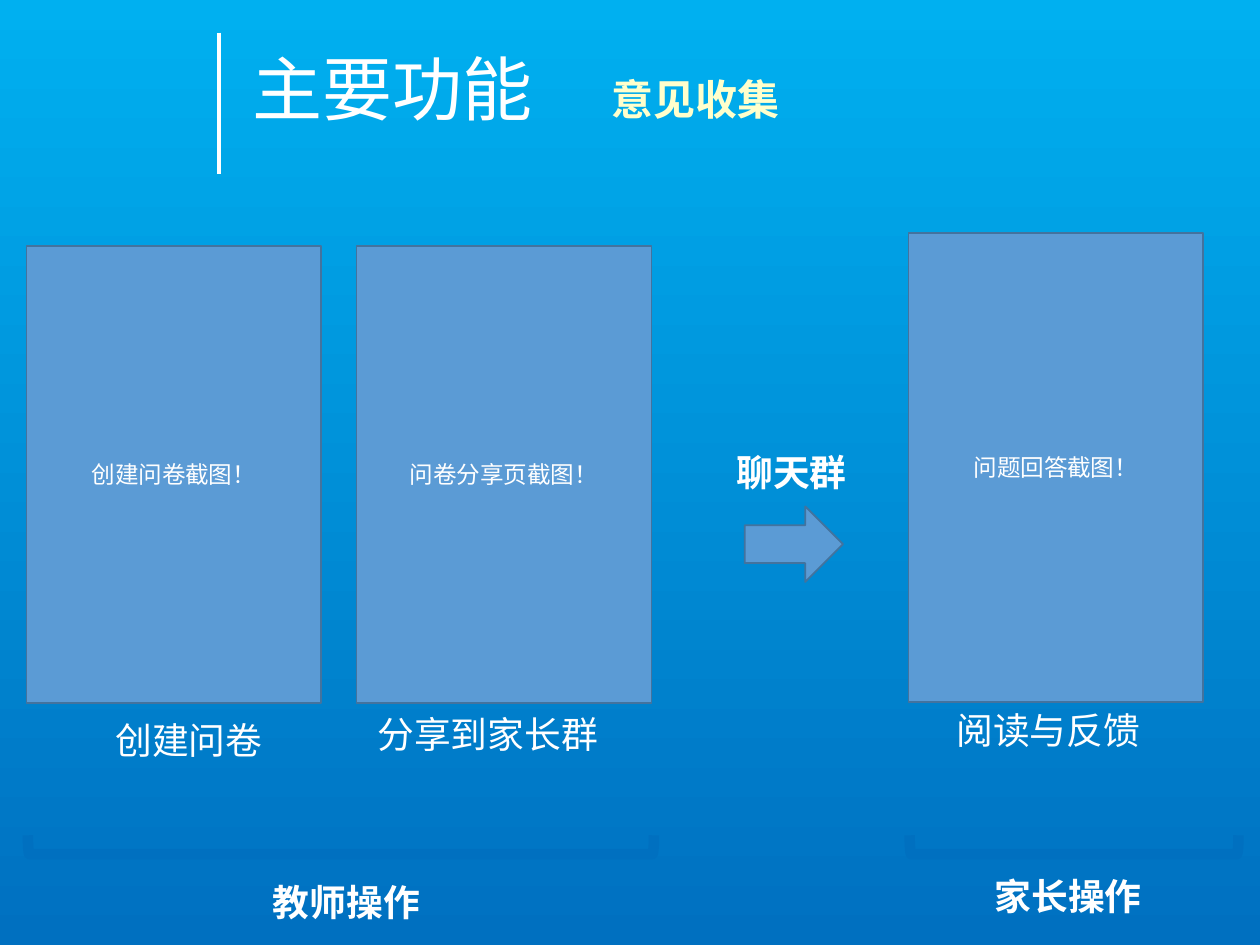
from dataclasses import dataclass

from lxml import etree
from pptx import Presentation
from pptx.dml.color import RGBColor
from pptx.enum.shapes import MSO_CONNECTOR, MSO_SHAPE
from pptx.enum.text import MSO_ANCHOR, PP_ALIGN
from pptx.oxml.ns import qn
from pptx.util import Pt

WHITE = RGBColor(0xFF, 0xFF, 0xFF)
CREAM = RGBColor(0xFF, 0xFF, 0xCC)
SKY = RGBColor(0x00, 0xB0, 0xF0)
DEEP_BLUE = RGBColor(0x00, 0x70, 0xC0)
PANEL_BLUE = RGBColor(0x5B, 0x9B, 0xD5)
PANEL_EDGE = RGBColor(0x43, 0x73, 0x9E)

FONT = "Calibri"
LEFT, CENTER = PP_ALIGN.LEFT, PP_ALIGN.CENTER
TOP, MIDDLE = MSO_ANCHOR.TOP, MSO_ANCHOR.MIDDLE
RECTANGLE = MSO_SHAPE.RECTANGLE
RIGHT_ARROW = MSO_SHAPE.RIGHT_ARROW
RIGHT_BRACKET = MSO_SHAPE.RIGHT_BRACKET
STRAIGHT = MSO_CONNECTOR.STRAIGHT


@dataclass(frozen=True)
class Box:
    """A frame in points."""
    left: float
    top: float
    width: float
    height: float

    def lengths(self):
        return Pt(self.left), Pt(self.top), Pt(self.width), Pt(self.height)


@dataclass(frozen=True)
class Label:
    text: str
    box: Box
    align: PP_ALIGN = LEFT
    bold: bool = False


@dataclass(frozen=True)
class Screen:
    text: str
    box: Box


SCREENS = [
    Screen("创建问卷截图！", Box(15.1, 140.4, 168.5, 261.4)),
    Screen("问卷分享页截图！", Box(203.8, 140.4, 168.5, 261.4)),
    Screen("问题回答截图！", Box(519.1, 133.2, 168.5, 267.8)),
]
LABELS = [
    Label("创建问卷", Box(20.9, 410.4, 174.2, 70.6), align=CENTER),
    Label("分享到家长群", Box(210.2, 406.8, 157, 70.6)),
    Label("阅读与反馈", Box(519.8, 404.6, 158.4, 61.9), align=CENTER),
    Label("教师操作", Box(150.5, 502.6, 157, 37.4), bold=True),
    Label("家长操作", Box(563, 499.7, 97.9, 40.3), bold=True),
    Label("聊天群", Box(415.4, 257, 74.9, 40.3), bold=True),
]
BRACKET_SPANS = [(15.9, 357.8), (519.8, 187.9)]
BRACKET_TOP, BRACKET_DEPTH = 477.3, 10.8


def add_run(paragraph, text: str, *, size: float, color=WHITE, bold=False) -> None:
    run = paragraph.add_run()
    run.text = text
    run.font.name = FONT
    run.font.size = Pt(size)
    run.font.bold = bold
    run.font.color.rgb = color


def write_text(shape, text: str, *, size: float, color=WHITE, bold=False, align=LEFT,
               anchor=TOP, line_spacing=0.9, space_before=0, side=5.4, edge=2.7):
    """Write one formatted paragraph in the shape and return it."""
    frame = shape.text_frame
    frame.word_wrap = True
    frame.vertical_anchor = anchor
    frame.margin_left = frame.margin_right = Pt(side)
    frame.margin_top = frame.margin_bottom = Pt(edge)
    paragraph = frame.paragraphs[0]
    paragraph.alignment = align
    paragraph.line_spacing = line_spacing
    paragraph.space_before = Pt(space_before)
    add_run(paragraph, text, size=size, color=color, bold=bold)
    return paragraph


def add_panel(slide, kind: MSO_SHAPE, box: Box):
    shape = slide.shapes.add_shape(kind, *box.lengths())
    shape.shadow.inherit = False
    shape.fill.solid()
    shape.fill.fore_color.rgb = PANEL_BLUE
    shape.line.color.rgb = PANEL_EDGE
    shape.line.width = Pt(1)
    return shape


def add_bracket(slide, left: float, width: float) -> None:
    """Draw a bracket that opens upwards, as a right bracket turned by 90 degrees."""
    box = Box(left + (width - BRACKET_DEPTH) / 2,
              BRACKET_TOP + (BRACKET_DEPTH - width) / 2, BRACKET_DEPTH, width)
    shape = slide.shapes.add_shape(RIGHT_BRACKET, *box.lengths())
    shape.rotation = 90
    shape.shadow.inherit = False
    shape.fill.background()
    shape.line.color.rgb = DEEP_BLUE
    shape.line.width = Pt(6)


def add_title(slide) -> None:
    rule = slide.shapes.add_connector(STRAIGHT, Pt(125.3), Pt(18.7), Pt(125.3), Pt(99.4))
    rule.line.color.rgb = WHITE
    rule.line.width = Pt(2.25)
    etree.SubElement(rule._element.spPr, qn("a:effectLst"))

    title = slide.shapes.add_textbox(*Box(137.5, 0.7, 532, 104.4).lengths())
    paragraph = write_text(title, "主要功能\t", size=40, anchor=MIDDLE, side=7.2, edge=3.6)
    tabs = etree.SubElement(paragraph._p.get_or_add_pPr(), qn("a:tabLst"))
    etree.SubElement(tabs, qn("a:tab"), pos=str(Pt(205)), algn="l")
    add_run(paragraph, "意见收集", size=24, color=CREAM, bold=True)


def paint_background(slide) -> None:
    fill = slide.background.fill
    fill.gradient()
    fill.gradient_angle = 270
    for stop, color, position in zip(fill.gradient_stops, (SKY, DEEP_BLUE), (0, 1)):
        stop.color.rgb = color
        stop.position = position


def main() -> None:
    presentation = Presentation()
    presentation.slide_width, presentation.slide_height = Pt(720), Pt(540)
    slide = presentation.slides.add_slide(presentation.slide_layouts[6])
    paint_background(slide)
    add_title(slide)
    for screen in SCREENS:
        panel = add_panel(slide, RECTANGLE, screen.box)
        write_text(panel, screen.text, size=13.5, align=CENTER, anchor=MIDDLE, line_spacing=1.0)
    add_panel(slide, RIGHT_ARROW, Box(425.5, 289.4, 56.2, 43.2))
    for left, width in BRACKET_SPANS:
        add_bracket(slide, left, width)
    for label in LABELS:
        text_box = slide.shapes.add_textbox(*label.box.lengths())
        write_text(text_box, label.text, size=21, bold=label.bold, align=label.align,
                   space_before=10)
    presentation.save("out.pptx")


if __name__ == "__main__":
    main()
